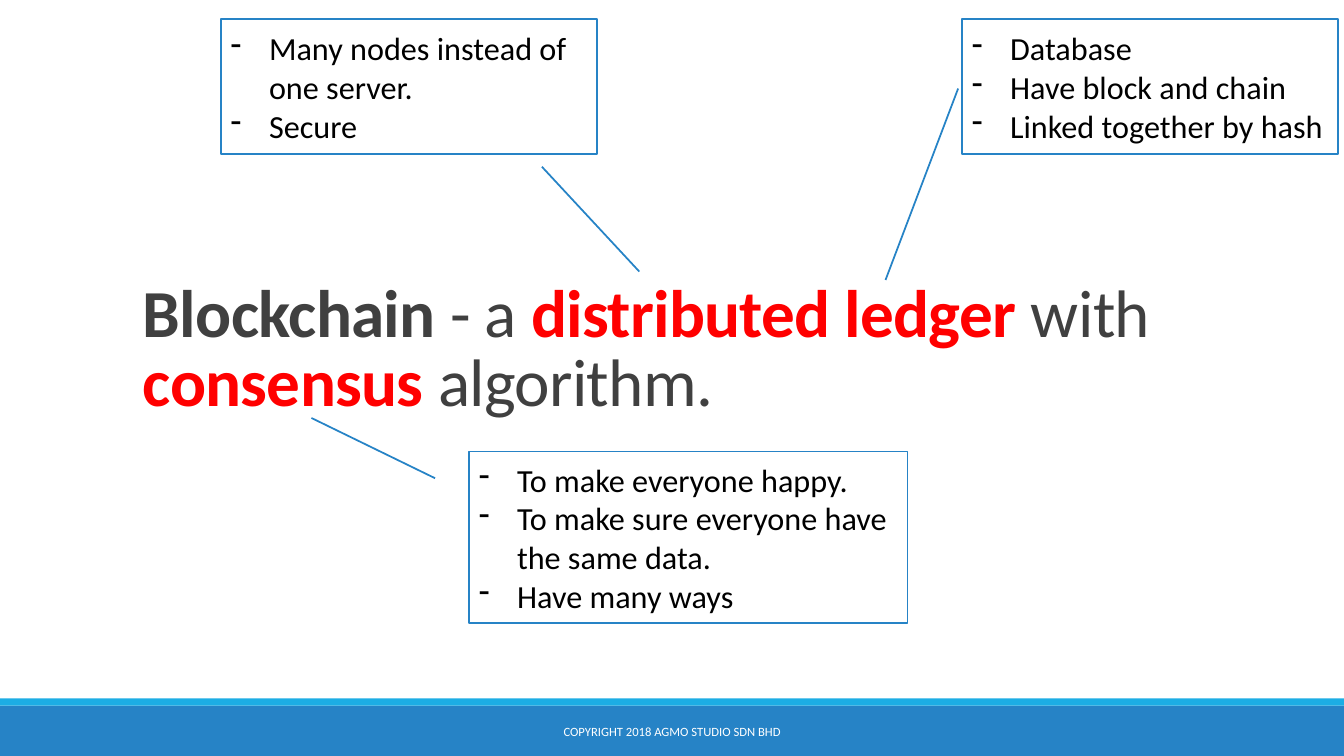
import pptx
import pptx.util
import pptx.dml.color
import pptx.enum.shapes
import pptx.enum.text
import pptx.oxml
import pptx.oxml.ns
from pptx.util import Inches

RGBColor = pptx.dml.color.RGBColor
SHAPE = pptx.enum.shapes.MSO_SHAPE
ALIGN = pptx.enum.text.PP_ALIGN
ANCHOR = pptx.enum.text.MSO_ANCHOR

BLUE = RGBColor(0x26, 0x83, 0xC6)
CYAN = RGBColor(0x1C, 0xAD, 0xE4)
WHITE = RGBColor(0xFF, 0xFF, 0xFF)
BLACK = RGBColor(0, 0, 0)
GREY = RGBColor(0x40, 0x40, 0x40)
RED = RGBColor(0xFF, 0, 0)

# Box and callout line (start y, start x, end y, end x as shares of the box)
CALLOUTS = [
    ((9.54, 0.19, 3.73, 1.34), (0.514, -0.01, 1.931, -0.203),
     ["Database", "Have block and chain", "Linked together by hash"]),
    ((2.19, 0.19, 3.73, 1.34), (1.093, 0.854, 1.869, 1.113),
     ["Many nodes instead of one server.", "Secure"]),
    ((4.65, 4.48, 4.35, 1.7), (0.156, -0.077, -0.196, -0.359),
     ["To make everyone happy.", "To make sure everyone have the same data.",
      "Have many ways"]),
]
DEFINITION = [("Blockchain", GREY, True), (" - a ", GREY, False),
              ("distributed ledger", RED, True), (" with ", GREY, False),
              ("consensus", RED, True), (" algorithm.", GREY, False)]


def add_run(p, text, size, color, bold=False, spacing=None):
    r = p.add_run()
    r.text = text
    r.font.name = "Calibri"
    r.font.size = pptx.util.Pt(size)
    r.font.bold = bold
    r.font.color.rgb = color
    if spacing is not None:
        r.font._element.set("spc", str(round(spacing * 100)))


def add_dash(p, indent=0.38):
    """Give the paragraph a hanging dash bullet."""
    pPr = p._p.get_or_add_pPr()
    pPr.set("marL", str(Inches(indent)))
    pPr.set("indent", str(-Inches(indent)))
    bullet = pptx.oxml.parse_xml(
        '<a:buChar %s char="-"/>' % pptx.oxml.ns.nsdecls("a"))
    pPr.append(bullet)


def add_box(s, kind, box, fill, line=None):
    sp = s.shapes.add_shape(kind, *map(Inches, box))
    sp.shadow.inherit = False
    sp.fill.solid()
    sp.fill.fore_color.rgb = fill
    if line is None:
        sp.line.fill.background()
    else:
        sp.line.color.rgb = line
        sp.line.width = pptx.util.Pt(1.25)
    return sp


def add_text_box(s, box, anchor):
    tf = s.shapes.add_textbox(*map(Inches, box)).text_frame
    tf.word_wrap = True
    tf.vertical_anchor = anchor
    return tf


def add_footer(s, box):
    left, top, width, height = box
    stripe = 0.07
    add_box(s, SHAPE.RECTANGLE, (left, top + stripe, width, height - stripe), BLUE)
    add_box(s, SHAPE.RECTANGLE, (left, top, width, stripe), CYAN)
    text_width = 5.27
    tf = add_text_box(s, (left + (width - text_width) / 2, top + 0.13,
                          text_width, 0.4), ANCHOR.MIDDLE)
    p = tf.paragraphs[0]
    p.alignment = ALIGN.CENTER
    add_run(p, "COPYRIGHT 2018 AGMO STUDIO SDN BHD", 9, WHITE)


def add_definition(s, box):
    p = add_text_box(s, box, ANCHOR.TOP).paragraphs[0]
    p.line_spacing = 0.85
    for text, color, bold in DEFINITION:
        add_run(p, text, 48, color, bold=bold, spacing=-0.5)


def add_callout(s, box, pointer, items):
    sp = add_box(s, SHAPE.LINE_CALLOUT_1, box, WHITE, line=BLUE)
    for i, share in enumerate(pointer):
        sp.adjustments[i] = share
    tf = sp.text_frame
    tf.word_wrap = True
    tf.vertical_anchor = ANCHOR.MIDDLE
    for i, item in enumerate(items):
        p = tf.add_paragraph() if i else tf.paragraphs[0]
        p.alignment = ALIGN.LEFT
        add_dash(p)
        add_run(p, item, 23, BLACK)


def main():
    prs = pptx.Presentation()
    prs.slide_width = Inches(13.33)
    prs.slide_height = Inches(7.5)
    s = prs.slides.add_slide(prs.slide_layouts[6])
    add_footer(s, (0, 6.93, 13.33, 0.57))
    add_definition(s, (1.32, 2.76, 11, 3.9))
    for box, pointer, items in CALLOUTS:
        add_callout(s, box, pointer, items)
    prs.save("out.pptx")


if __name__ == "__main__":
    main()
